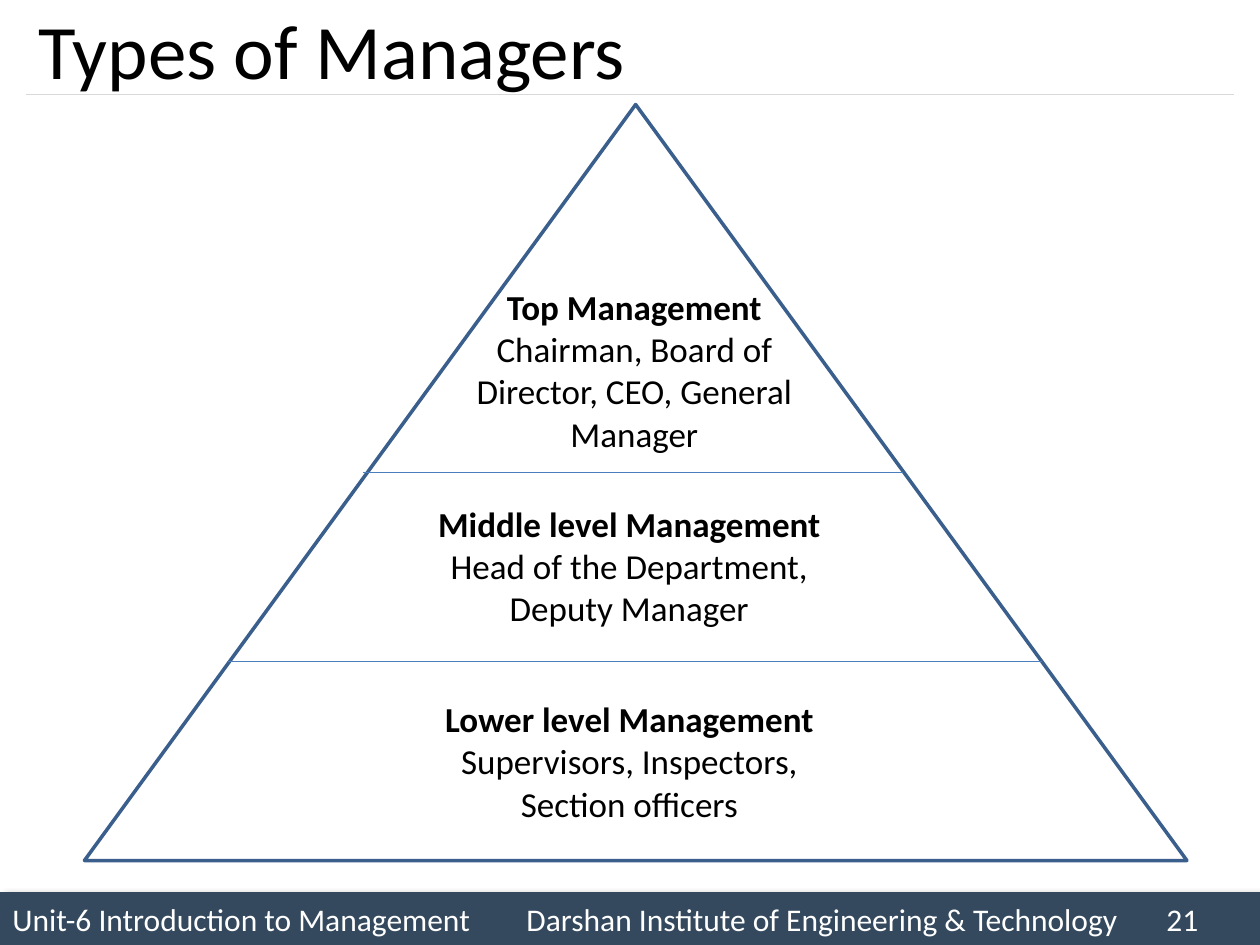
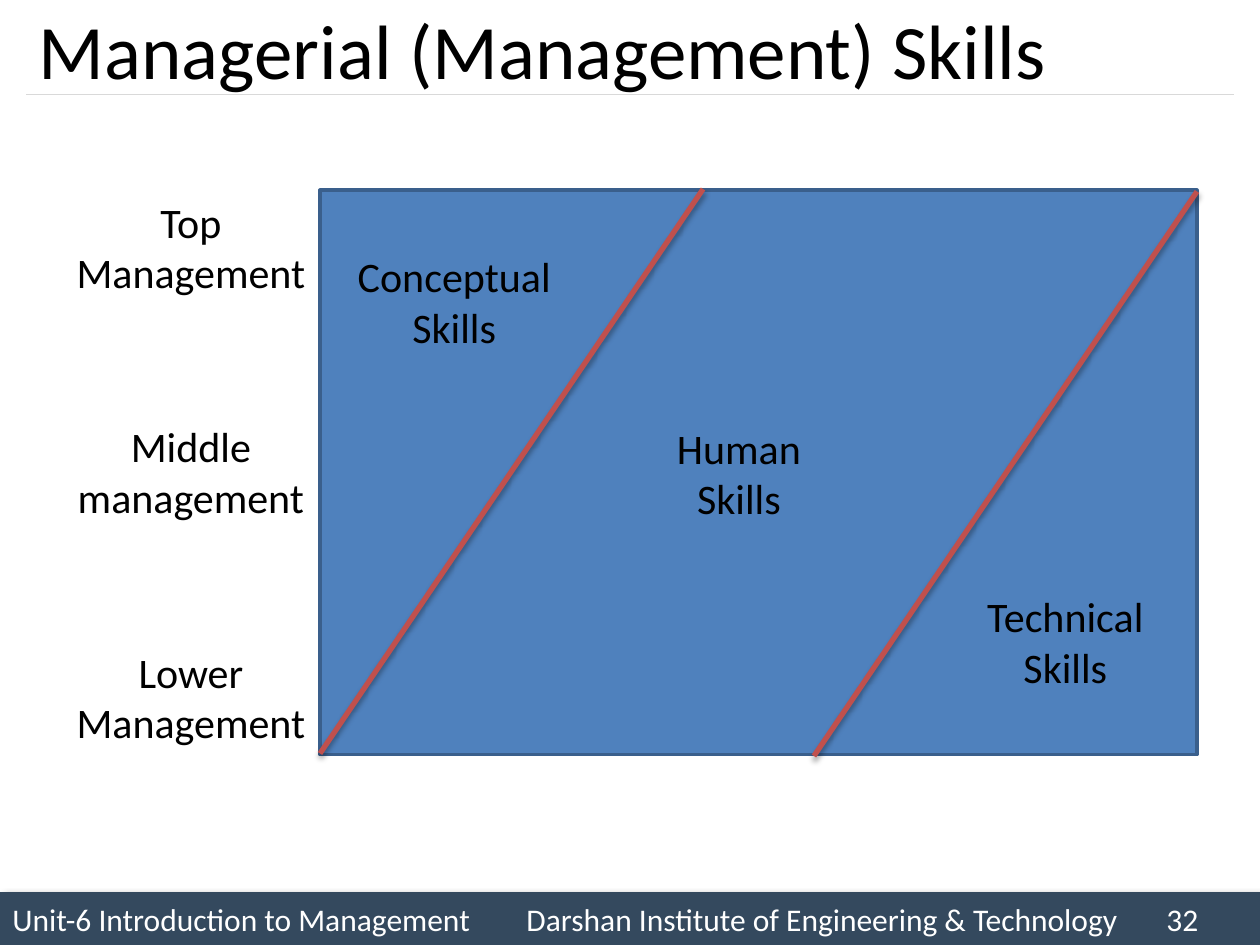
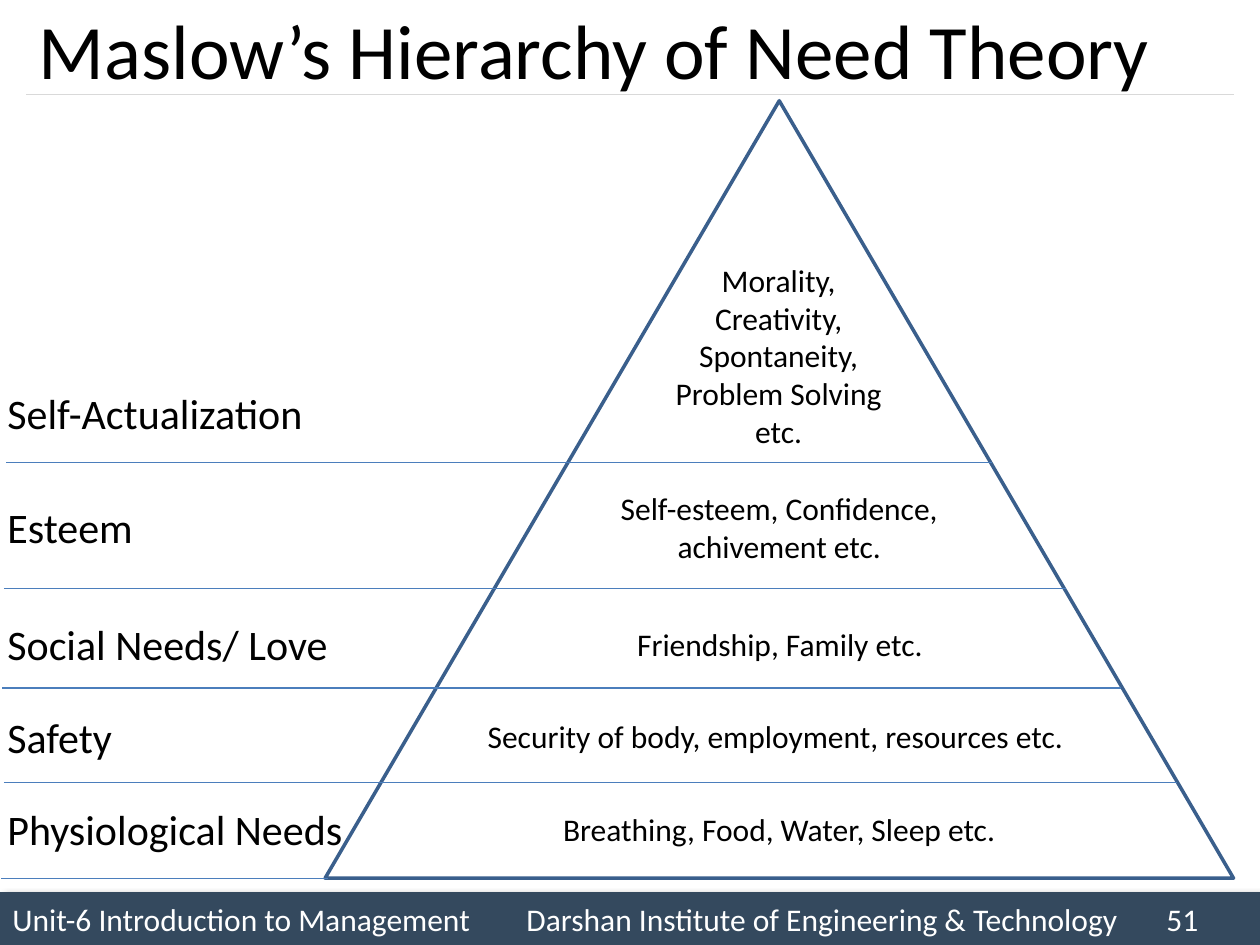
import dataclasses

import lxml.etree
import pptx
import pptx.dml.color
import pptx.enum.shapes
import pptx.enum.text
import pptx.oxml.ns
import pptx.util

SCALE = 9144  # EMU per px, 100 px to the inch
SHAPE = pptx.enum.shapes.MSO_SHAPE
ALIGN = pptx.enum.text.PP_ALIGN
ANCHOR = pptx.enum.text.MSO_ANCHOR
qn = pptx.oxml.ns.qn


@dataclasses.dataclass(frozen=True)
class Theme:
    font: str = "Calibri"
    ink: str = "000000"
    paper: str = "FFFFFF"
    band: str = "34495E"
    rule: str = "D9D9D9"
    outline: str = "3A5F8C"
    divider: str = "4B7EBC"
    panel: str = "4F81BD"
    slash: str = "C0504D"
    title_size: int = 44
    label_size: int = 24
    level_size: int = 20
    small_size: int = 18
    thin: float = 0.75
    medium: float = 2
    thick: float = 3
    # alpha %, blur pt, distance pt, direction in degrees
    band_shadow: tuple = (40, 4, 3, 45)
    slash_shadow: tuple = (35, 3.1, 1.8, 90)


def px(*lengths):
    return [pptx.util.Emu(length * SCALE) for length in lengths]


def rgb(colour):
    return pptx.dml.color.RGBColor.from_string(colour)


class Deck:
    width, height = 1000, 750

    def __init__(self, theme):
        self.theme = theme
        self.presentation = pptx.Presentation()
        (self.presentation.slide_width,
         self.presentation.slide_height) = px(self.width, self.height)
        self.slide = None

    def new_slide(self, title, number):
        """Start a slide with its footer band, title and title rule."""
        t = self.theme
        self.slide = self.presentation.slides.add_slide(
            self.presentation.slide_layouts[6])
        band = self.shape(SHAPE.RECTANGLE, (0, 708, self.width, 42), fill=t.band)
        self.shadow(band, t.band_shadow)
        footer = "\t".join(["Unit-6 Introduction to Management",
                            "Darshan Institute of Engineering & Technology",
                            str(number)])
        self.fill_text(band, [footer], t.small_size, colour=t.paper,
                       anchor=ANCHOR.MIDDLE, tabs=(408, 916))
        self.line((21, 75), (979, 75), t.rule)
        self.text((21, -5, 958, 88), [title], t.title_size, anchor=ANCHOR.MIDDLE)

    def shape(self, kind, box, fill=None, outline=None, weight=None):
        shape = self.slide.shapes.add_shape(kind, *px(*box))
        shape.shadow.inherit = False
        if fill:
            shape.fill.solid()
            shape.fill.fore_color.rgb = rgb(fill)
        else:
            shape.fill.background()
        if outline:
            shape.line.color.rgb = rgb(outline)
            shape.line.width = pptx.util.Pt(weight or self.theme.thin)
        else:
            shape.line.fill.background()
        return shape

    def line(self, start, end, colour, weight=None):
        line = self.slide.shapes.add_connector(
            pptx.enum.shapes.MSO_CONNECTOR.STRAIGHT, *px(*start, *end))
        line.line.color.rgb = rgb(colour)
        line.line.width = pptx.util.Pt(weight or self.theme.thin)
        lxml.etree.SubElement(line._element.spPr, qn("a:effectLst"))
        return line

    def shadow(self, target, look):
        alpha, blur, distance, direction = look
        effects = target._element.spPr.find(qn("a:effectLst"))
        outer = lxml.etree.SubElement(
            effects, qn("a:outerShdw"), blurRad=str(pptx.util.Pt(blur)),
            dist=str(pptx.util.Pt(distance)), dir=str(direction * 60000),
            rotWithShape="0")
        colour = lxml.etree.SubElement(outer, qn("a:srgbClr"), val=self.theme.ink)
        lxml.etree.SubElement(colour, qn("a:alpha"), val=str(alpha * 1000))

    def text(self, box, paragraphs, size, **style):
        holder = self.slide.shapes.add_textbox(*px(*box))
        self.fill_text(holder, paragraphs, size, **style)

    def fill_text(self, holder, paragraphs, size, colour=None, align=ALIGN.LEFT,
                  anchor=ANCHOR.TOP, bold_first=False, tabs=()):
        frame = holder.text_frame
        frame.word_wrap = True
        frame.vertical_anchor = anchor
        for index, content in enumerate(paragraphs):
            paragraph = frame.add_paragraph() if index else frame.paragraphs[0]
            paragraph.text = content
            paragraph.alignment = align
            if tabs:
                stops = lxml.etree.SubElement(
                    paragraph._p.get_or_add_pPr(), qn("a:tabLst"))
                for stop in px(*tabs):
                    lxml.etree.SubElement(stops, qn("a:tab"), pos=str(stop), algn="l")
            font = paragraph.font
            font.name = self.theme.font
            font.size = pptx.util.Pt(size)
            font.bold = bold_first and index == 0
            font.color.rgb = rgb(colour or self.theme.ink)


def types_of_managers(deck):
    t = deck.theme
    deck.new_slide("Types of Managers", 21)
    deck.shape(SHAPE.FLOWCHART_EXTRACT, (67, 83, 875, 600),
               outline=t.outline, weight=t.medium)
    for left, right, y in [(288, 717, 375), (180, 827, 525)]:
        deck.line((left, y), (right, y), t.divider)
    levels = [
        ((362, 222, 283, 145), "Top Management",
         "Chairman, Board of Director, CEO, General Manager"),
        ((333, 394, 333, 111), "Middle level Management",
         "Head of the Department, Deputy Manager"),
        ((335, 549, 329, 111), "Lower level Management",
         "Supervisors, Inspectors, Section officers"),
    ]
    for box, level, members in levels:
        deck.text(box, [level, members], t.level_size,
                  align=ALIGN.CENTER, bold_first=True)


def managerial_skills(deck):
    t = deck.theme
    deck.new_slide("Managerial (Management) Skills", 32)

    # Management levels beside the panel
    levels = [("Top Management", 151, 100, t.paper),
              ("Middle management", 329, 91, t.paper),
              ("Lower Management", 508, 91, None)]
    for level, top, height, outline in levels:
        label = deck.shape(SHAPE.RECTANGLE, (49, top, 205, height),
                           fill=t.paper, outline=outline)
        deck.fill_text(label, [level], t.label_size, align=ALIGN.CENTER)

    # Panel cut by two parallel slashes
    deck.shape(SHAPE.RECTANGLE, (254, 151, 696, 448),
               fill=t.panel, outline=t.outline, weight=t.medium)
    run, rise = 304, 448
    for x, y in [(254, 598), (646, 600)]:
        slash = deck.line((x, y), (x + run, y - rise), t.slash, t.thick)
        deck.shadow(slash, t.slash_shadow)

    skills = [((271, 194, 179, 100), ["Conceptual", "Skills"]),
              ((521, 330, 131, 88), ["Human Skills"]),
              ((771, 464, 149, 92), ["Technical Skills"])]
    for box, skill in skills:
        deck.text(box, skill, t.label_size, align=ALIGN.CENTER)


def hierarchy_of_needs(deck):
    t = deck.theme
    deck.new_slide("Maslow’s Hierarchy of Need Theory", 51)
    deck.shape(SHAPE.ISOSCELES_TRIANGLE, (258, 80, 721, 617),
               outline=t.outline, weight=t.medium)

    # Need, label top, examples, their box, and the line below (left, right, y)
    needs = [
        ("Self-Actualization", 303,
         "Morality, Creativity, Spontaneity, Problem Solving etc.",
         (525, 202, 186, 162), (5, 787, 367)),
        ("Esteem", 393, "Self-esteem, Confidence, achivement etc.",
         (480, 383, 277, 71), (3, 846, 467)),
        ("Social Needs/ Love", 486, "Friendship, Family etc.",
         (445, 491, 348, 40), (2, 890, 546)),
        ("Safety", 560, "Security of body, employment, resources etc.",
         (349, 564, 533, 40), (3, 934, 621)),
        ("Physiological Needs", 633, "Breathing, Food, Water, Sleep etc.",
         (310, 638, 617, 40), (1, 260, 697)),
    ]
    for need, top, examples, box, (left, right, y) in needs:
        deck.line((left, y), (right, y), t.divider)
        deck.text((-4, top, 292, 50), [need], t.label_size)
        deck.text(box, [examples], t.small_size, align=ALIGN.CENTER)


def main():
    deck = Deck(Theme())
    types_of_managers(deck)
    managerial_skills(deck)
    hierarchy_of_needs(deck)
    deck.presentation.save("out.pptx")


if __name__ == "__main__":
    main()
